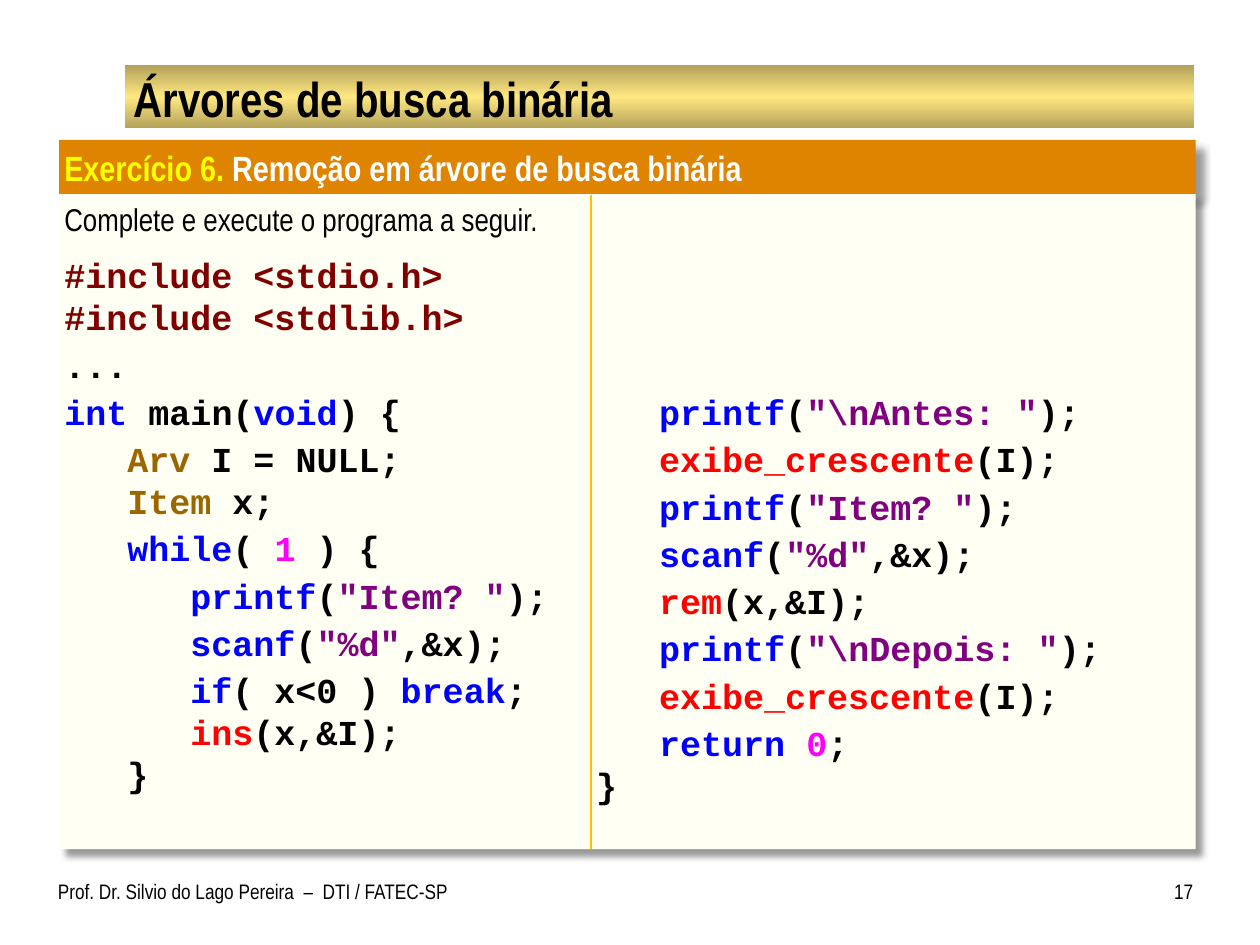
from lxml.etree import SubElement
from pptx import Presentation
from pptx.dml.color import RGBColor
from pptx.enum.shapes import MSO_CONNECTOR, MSO_SHAPE
from pptx.enum.text import MSO_ANCHOR, MSO_AUTO_SIZE, PP_ALIGN
from pptx.oxml import parse_xml
from pptx.oxml.ns import nsdecls, qn
from pptx.util import Inches, Pt

HUES = {
    "black": "000000", "white": "FFFFFF", "yellow": "FFFF00",
    "orange": "DE8400", "cream": "FFFFF3", "line": "FFC000",
    "edge": "B3A25A", "gold": "FFE781",
    "inc": "800000", "key": "0000FF", "type": "996600",
    "num": "FF00FF", "str": "800080", "call": "FF0000",
}
SANS, MONO = "Arial Narrow", "Courier New"
CODE = {"name": MONO, "size": Pt(20), "bold": True}
HEAD = {"name": SANS, "size": Pt(20), "bold": True}
LEAD = {"name": SANS, "size": Pt(18), "bold": False}
NOTE = {"name": SANS, "size": Pt(12), "bold": False}
MAIN = {"name": SANS, "size": Pt(28), "bold": True}
STEP = 0.5  # three characters of code


def call(name, args, hue="key"):
    """Give the runs of a call with plain arguments."""
    return [(name, hue), (args, "black")]


def quote(name, text, tail):
    """Give the runs of a call that starts with a string."""
    return [(name, "key"), ("(", "black"), (text, "str"), (tail, "black")]


ASK = quote("printf", '"Item? "', ");")
READ = quote("scanf", '"%d"', ",&x);")
SHOW = call("exibe_crescente", "(I);", "call")

# Each line: indent level, space before in points, runs
LEFT = [
    (0, 9, [("#include <stdio.h>", "inc")]),
    (0, 0, [("#include <stdlib.h>", "inc")]),
    (0, 3, [("...", "black")]),
    (0, 3, [("int ", "key"), ("main(", "black"), ("void", "key"), (") {", "black")]),
    (1, 3, call("Arv", " I = NULL;", "type")),
    (1, 0, call("Item", " x;", "type")),
    (1, 3, [("while", "key"), ("( ", "black"), ("1", "num"), (" ) {", "black")]),
    (2, 3, ASK),
    (2, 3, READ),
    (2, 3, [("if", "key"), ("( x<0 ) ", "black"), ("break", "key"), (";", "black")]),
    (2, 0, call("ins", "(x,&I);", "call")),
    (1, 0, [("}", "black")]),
]
RIGHT = [(1, 3, runs) for runs in (
    quote("printf", '"\\nAntes: "', ");"), SHOW, ASK, READ,
    call("rem", "(x,&I);", "call"),
    quote("printf", '"\\nDepois: "', ");"), SHOW,
    [("return ", "key"), ("0", "num"), (";", "black")],
)] + [(0, 0, [("}", "black")])]


def rgb(hue):
    """Look up a colour."""
    return RGBColor.from_string(HUES[hue])


def put(item, vals):
    """Set attributes from a dict."""
    for key, val in vals.items():
        setattr(item, key, val)


def frame(shape, pad, anchor=MSO_ANCHOR.TOP):
    """Set the margins, wrap and anchor of a text frame."""
    text = shape.text_frame
    put(text, {"word_wrap": True, "auto_size": MSO_AUTO_SIZE.NONE,
               "vertical_anchor": anchor})
    sides = ("left", "top", "right", "bottom")
    put(text, {f"margin_{side}": Inches(gap) for side, gap in zip(sides, pad)})
    return text


def write(text, lines, font, align=PP_ALIGN.LEFT):
    """Add lines of coloured runs to a text frame."""
    for level, gap, runs in lines:
        para = text.paragraphs[0]
        if para.runs:
            para = text.add_paragraph()
        put(para, {"alignment": align, "space_before": Pt(gap)})
        if level:
            para._p.get_or_add_pPr().set("marL", str(Inches(STEP * level)))
        for words, hue in runs:
            run = para.add_run()
            run.text = words
            put(run.font, font)
            run.font.color.rgb = rgb(hue)


def shade(shape):
    """Add a soft shadow at the lower right."""
    shape._element.spPr.append(parse_xml(
        f'<a:effectLst {nsdecls("a")}><a:outerShdw blurRad="{Pt(4)}" '
        f'dist="{Pt(6)}" dir="2700000" algn="tl" rotWithShape="0">'
        f'<a:srgbClr val="{HUES["black"]}"><a:alpha val="40000"/></a:srgbClr>'
        '</a:outerShdw></a:effectLst>'))


def panel(slide, box, hue, cast=False):
    """Add a plain filled box."""
    shape = slide.shapes.add_shape(MSO_SHAPE.RECTANGLE, *map(Inches, box))
    shape.fill.solid()
    shape.fill.fore_color.rgb = rgb(hue)
    shape.line.fill.background()
    if cast:
        shade(shape)
    else:
        shape.shadow.inherit = False
    return shape


def band(slide, box):
    """Add the bar that shines along its middle."""
    shape = panel(slide, box, "gold")
    props = shape._element.spPr
    stops = "".join(f'<a:gs pos="{pos}"><a:srgbClr val="{HUES[hue]}"/></a:gs>'
                    for pos, hue in ((0, "edge"), (50000, "gold"), (100000, "edge")))
    props.replace(props.find(qn("a:solidFill")), parse_xml(
        f'<a:gradFill {nsdecls("a")} rotWithShape="1"><a:gsLst>{stops}</a:gsLst>'
        '<a:lin ang="5400000" scaled="1"/></a:gradFill>'))


def title(slide, box, words):
    """Fill the title and bring it in front of the bar."""
    shape = slide.shapes.title
    put(shape, dict(zip(("left", "top", "width", "height"), map(Inches, box))))
    text = frame(shape, (0.06, 0.01, 0.06, 0.01), MSO_ANCHOR.MIDDLE)
    write(text, [(0, 0, [(words, "black")])], MAIN)
    slide.shapes._spTree.append(shape._element)


def foot(slide, box, words, pad, align):
    """Add a small text at the bottom."""
    shape = slide.shapes.add_textbox(*map(Inches, box))
    write(frame(shape, pad), [(0, 0, [(words, "black")])], NOTE, align)


def rule(slide, x, top, end):
    """Add the upright line between the columns."""
    line = slide.shapes.add_connector(
        MSO_CONNECTOR.STRAIGHT, *map(Inches, (x, top, x, end)))
    line.line.color.rgb = rgb("line")
    line.line.width = Pt(0.75)
    SubElement(line._element.spPr, qn("a:effectLst"))


def main():
    """Build the slide."""
    deck = Presentation()
    put(deck, {"slide_width": Inches(10), "slide_height": Inches(7.5)})
    slide = deck.slides.add_slide(deck.slide_layouts[5])

    band(slide, (0.99, 0.52, 8.49, 0.5))
    title(slide, (1, 0.54, 8.47, 0.47), "Árvores de busca binária")

    pad = (0.04, 0.05, 0.04, 0.05)
    head = panel(slide, (0.47, 1.11, 9.02, 0.44), "orange", True)
    write(frame(head, pad), [(0, 0, [
        ("Exercício 6.", "yellow"),
        (" Remoção em árvore de busca binária", "white")])], HEAD)

    body = frame(panel(slide, (0.47, 1.54, 9.02, 5.2), "cream", True), pad)
    lead = [("Complete e execute o programa a seguir.", "black")]
    write(body, [(0, 6, lead)], LEAD, PP_ALIGN.JUSTIFY)
    write(body, LEFT, CODE)

    foot(slide, (0.46, 6.92, 3.27, 0.42),
         "Prof. Dr. Silvio do Lago Pereira  –  DTI / FATEC-SP",
         (0, 0.05, 0.1, 0.05), PP_ALIGN.LEFT)
    foot(slide, (9.08, 6.92, 0.39, 0.42), "17",
         (0.1, 0.05, 0, 0.05), PP_ALIGN.RIGHT)

    side = panel(slide, (4.69, 3.05, 4.79, 3.43), "cream")
    write(frame(side, pad), RIGHT, CODE)
    rule(slide, 4.69, 1.55, 6.74)
    deck.save("out.pptx")


main()
